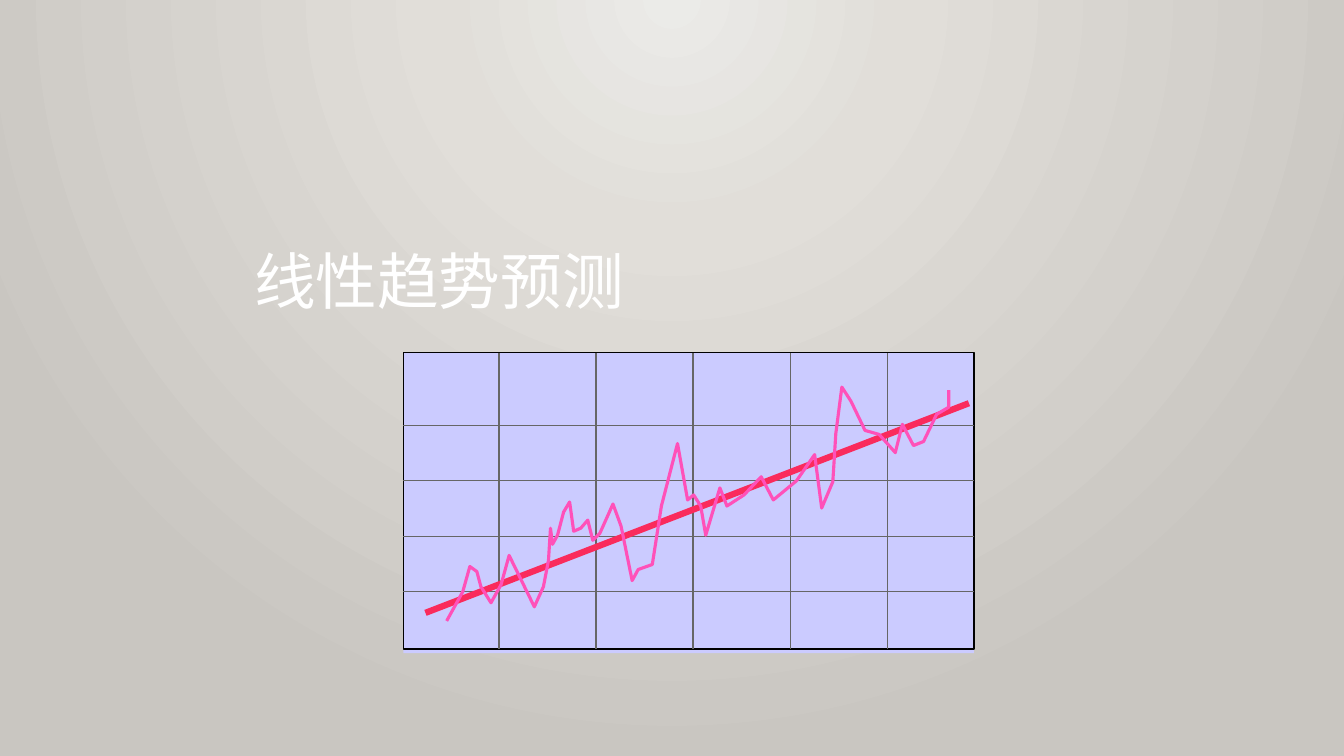
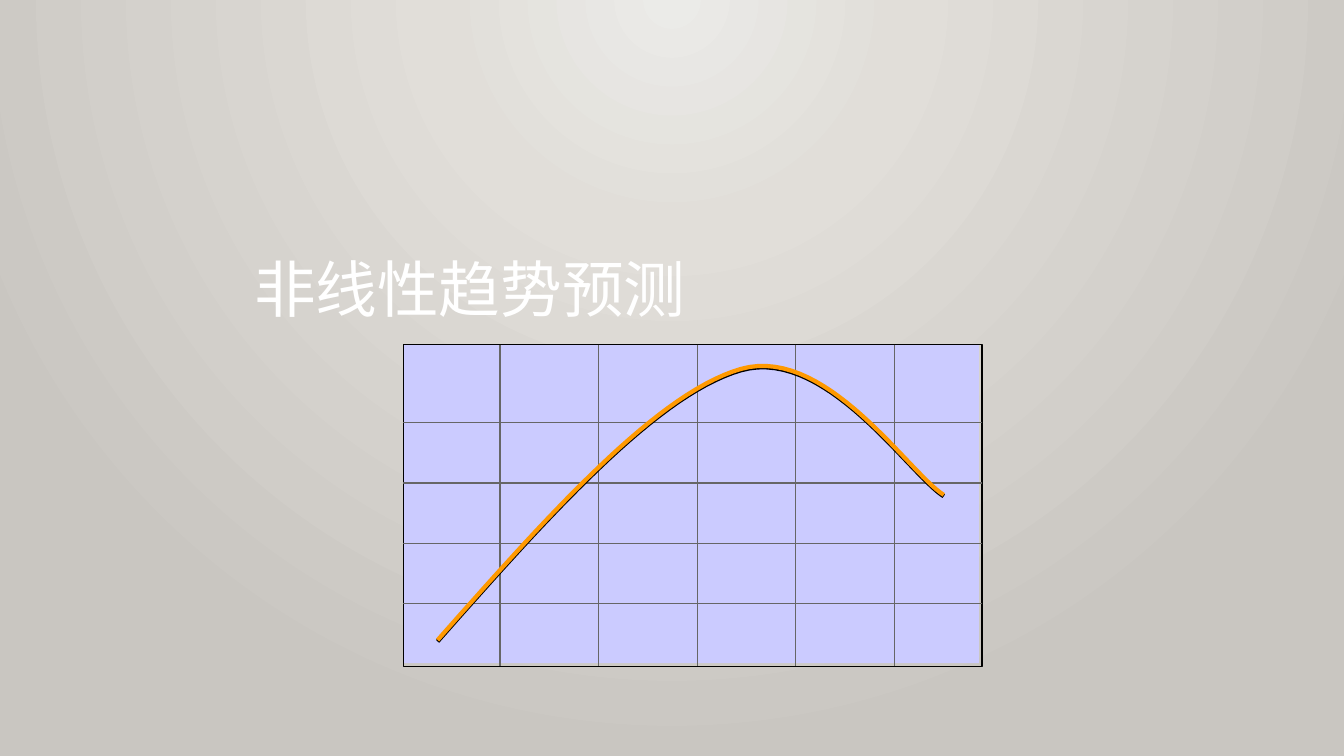
from dataclasses import dataclass

import pptx
import pptx.dml.color
import pptx.enum.shapes
import pptx.enum.text
import pptx.oxml
import pptx.oxml.ns
import pptx.util
from lxml import etree

Inches = pptx.util.Inches
Pt = pptx.util.Pt
Point = tuple[float, float]

COLOURS = {
    "glow": "EBEBE8",
    "middle": "E1DED9",
    "edge": "C9C6C1",
    "title": "FFFFFF",
    "panel": "CBCBFF",
    "frame": "000000",
    "grid": "666666",
    "trend": "FA2B5C",
    "data": "FF51B9",
    "curve": "FF9900",
    "shadow": "000000",
}
BACKGROUND_STOPS = {0: "glow", 30: "middle", 100: "edge"}
TITLE_FRAME = {
    "margin_left": Inches(0.1),
    "margin_top": Inches(0.05),
    "margin_right": Inches(0.1),
    "margin_bottom": 0,
    "word_wrap": True,
    "auto_size": pptx.enum.text.MSO_AUTO_SIZE.NONE,
    "vertical_anchor": pptx.enum.text.MSO_ANCHOR.MIDDLE,
}
TITLE_PARAGRAPH = {"alignment": pptx.enum.text.PP_ALIGN.LEFT, "line_spacing": 0.9}
TITLE_FONT = {"name": "Cabin", "size": Pt(44), "bold": False}
PLOT_LEFT = 4.0
COLUMN_LINES = 5
ROW_LINES = 4
CURVE_STEPS = 30


@dataclass(frozen=True)
class Stroke:
    colour: str
    width: float
    shadow: bool = False


@dataclass(frozen=True)
class Curve:
    points: list[Point]
    stroke: Stroke


@dataclass(frozen=True)
class Line:
    start: Point
    end: Point
    stroke: Stroke


@dataclass(frozen=True)
class TrendSlide:
    title: str
    title_top: float
    top: float
    panel_right: float
    panel_bottom: float
    frame_right: float
    frame_bottom: float
    columns: tuple[float, float]
    rows: tuple[float, float]
    curve: Curve
    trend: Line | None = None


def bezier(*corners: Point) -> list[Point]:
    """Sample a cubic Bezier given its start, two controls and end."""
    points = []
    for step in range(CURVE_STEPS + 1):
        t = step / CURVE_STEPS
        u = 1 - t
        x, y = (u**3 * a + 3 * u * u * t * b + 3 * u * t * t * c + t**3 * d
                for a, b, c, d in zip(*corners))
        points.append((x, y))
    return points


GRID = Stroke("grid", 1)

DATA_CURVE = Curve([
    (4.43, 6.16), (4.59, 5.87), (4.66, 5.62), (4.73, 5.67), (4.77, 5.82),
    (4.87, 5.98), (4.97, 5.8), (5.05, 5.51), (5.3, 6.02), (5.39, 5.82),
    (5.44, 5.56), (5.46, 5.24), (5.48, 5.4), (5.53, 5.31), (5.59, 5.08),
    (5.65, 4.98), (5.69, 5.27), (5.76, 5.24), (5.83, 5.16), (5.88, 5.36),
    (5.95, 5.29), (6.08, 5), (6.16, 5.22), (6.27, 5.76), (6.33, 5.65),
    (6.47, 5.6), (6.56, 5.02), (6.72, 4.4), (6.82, 4.96), (6.88, 4.91),
    (6.95, 5.02), (7, 5.31), (7.14, 4.84), (7.21, 5.02), (7.38, 4.91),
    (7.55, 4.73), (7.67, 4.96), (7.9, 4.77), (8.08, 4.51), (8.15, 5.04),
    (8.26, 4.78), (8.29, 4.3), (8.35, 3.84), (8.44, 3.98), (8.58, 4.27),
    (8.72, 4.31), (8.88, 4.49), (8.95, 4.21), (9.06, 4.42), (9.16, 4.38),
    (9.29, 4.11), (9.41, 4.04), (9.41, 3.87),
], Stroke("data", 2.25))

ARCH_CURVE = Curve(
    bezier((4.34, 6.35), (5.42, 5.13), (6.51, 3.9), (7.35, 3.66))
    + bezier((7.35, 3.66), (8.19, 3.42), (9.02, 4.7), (9.36, 4.91))[1:],
    Stroke("curve", 3, shadow=True))

SLIDES = [
    TrendSlide("线性趋势预测", 2.17, 3.5, 9.66, 6.48, 9.66, 6.44,
               (4.95, 8.8), (4.22, 5.87), DATA_CURVE,
               Line((4.22, 6.08), (9.61, 4), Stroke("trend", 4.5))),
    TrendSlide("非线性趋势预测", 2.25, 3.42, 9.71, 6.58, 9.74, 6.61,
               (4.96, 8.87), (4.19, 5.99), ARCH_CURVE),
]


def rgb(colour: str) -> pptx.dml.color.RGBColor:
    return pptx.dml.color.RGBColor.from_string(COLOURS[colour])


def apply_format(target, values: dict) -> None:
    for name, value in values.items():
        setattr(target, name, value)


def set_background(master) -> None:
    stops = "".join(
        f'<a:gs pos="{position * 1000}"><a:srgbClr val="{COLOURS[colour]}"/></a:gs>'
        for position, colour in BACKGROUND_STOPS.items())
    background = pptx.oxml.parse_xml(
        f'<p:bg {pptx.oxml.ns.nsdecls("p", "a")}><p:bgPr><a:gradFill rotWithShape="1">'
        f'<a:gsLst>{stops}</a:gsLst><a:path path="circle">'
        '<a:fillToRect l="43000" t="0" r="43000" b="100000"/></a:path></a:gradFill>'
        '<a:effectLst/></p:bgPr></p:bg>')
    content = master.element.cSld
    for previous in content.findall(pptx.oxml.ns.qn("p:bg")):
        content.remove(previous)
    content.insert(0, background)


def set_stroke(shape, stroke: Stroke) -> None:
    shape.line.color.rgb = rgb(stroke.colour)
    shape.line.width = Pt(stroke.width)
    properties = shape._element.spPr
    for previous in properties.findall(pptx.oxml.ns.qn("a:effectLst")):
        properties.remove(previous)
    effects = etree.SubElement(properties, pptx.oxml.ns.qn("a:effectLst"))
    if stroke.shadow:
        shadow = etree.SubElement(effects, pptx.oxml.ns.qn("a:outerShdw"),
                                  blurRad="0", dist=str(int(Pt(1))), dir="5400000",
                                  algn="ctr", rotWithShape="0")
        etree.SubElement(shadow, pptx.oxml.ns.qn("a:srgbClr"), val=COLOURS["shadow"])


def add_title(slide, text: str, top: float) -> None:
    title = slide.shapes.title
    apply_format(title, {"left": Inches(2.42), "top": Inches(top),
                         "width": Inches(8.75), "height": Inches(1.25)})
    frame = title.text_frame
    apply_format(frame, TITLE_FRAME)
    frame.text = text
    paragraph = frame.paragraphs[0]
    apply_format(paragraph, TITLE_PARAGRAPH)
    font = paragraph.runs[0].font
    apply_format(font, TITLE_FONT)
    font.color.rgb = rgb("title")


def add_rectangle(shapes, top: float, right: float, bottom: float):
    shape = shapes.add_shape(
        pptx.enum.shapes.MSO_SHAPE.RECTANGLE, Inches(PLOT_LEFT), Inches(top),
        Inches(right - PLOT_LEFT), Inches(bottom - top))
    shape.shadow.inherit = False
    return shape


def add_line(shapes, line: Line) -> None:
    connector = shapes.add_connector(
        pptx.enum.shapes.MSO_CONNECTOR.STRAIGHT,
        *(Inches(value) for value in line.start + line.end))
    set_stroke(connector, line.stroke)


def evenly_spaced(ends: tuple[float, float], count: int) -> list[float]:
    first, last = ends
    return [first + (last - first) * index / (count - 1) for index in range(count)]


def add_curve(shapes, curve: Curve) -> None:
    start, *others = [(Inches(x), Inches(y)) for x, y in curve.points]
    builder = shapes.build_freeform(*start)
    builder.add_line_segments(others, close=False)
    shape = builder.convert_to_shape()
    shape.fill.background()
    set_stroke(shape, curve.stroke)


def add_plot(slide, content: TrendSlide) -> None:
    shapes = slide.shapes.add_group_shape().shapes
    panel = add_rectangle(shapes, content.top, content.panel_right, content.panel_bottom)
    panel.fill.solid()
    panel.fill.fore_color.rgb = rgb("panel")
    panel.line.fill.background()
    frame = add_rectangle(shapes, content.top, content.frame_right, content.frame_bottom)
    frame.fill.background()
    set_stroke(frame, Stroke("frame", 1))
    for x in evenly_spaced(content.columns, COLUMN_LINES):
        add_line(shapes, Line((x, content.top), (x, content.frame_bottom), GRID))
    for y in evenly_spaced(content.rows, ROW_LINES):
        add_line(shapes, Line((PLOT_LEFT, y), (content.frame_right, y), GRID))
    if content.trend:
        add_line(shapes, content.trend)
    add_curve(shapes, content.curve)


def main() -> None:
    presentation = pptx.Presentation()
    presentation.slide_width = Inches(13.33)
    presentation.slide_height = Inches(7.5)
    set_background(presentation.slide_master)
    for content in SLIDES:
        slide = presentation.slides.add_slide(presentation.slide_layouts[0])
        subtitle = slide.placeholders[1].element
        subtitle.getparent().remove(subtitle)
        add_title(slide, content.title, content.title_top)
        add_plot(slide, content)
    presentation.save("out.pptx")


if __name__ == "__main__":
    main()
